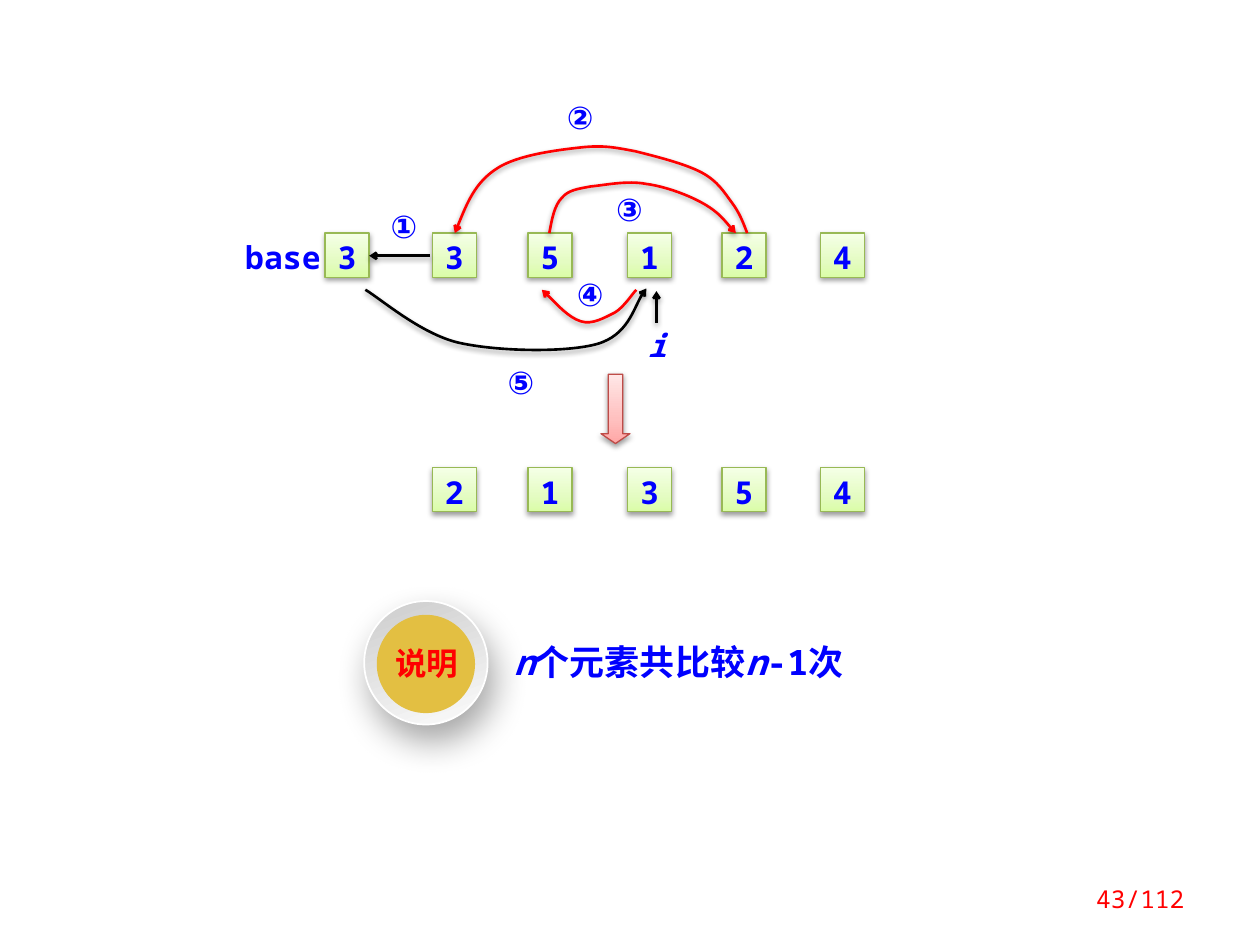
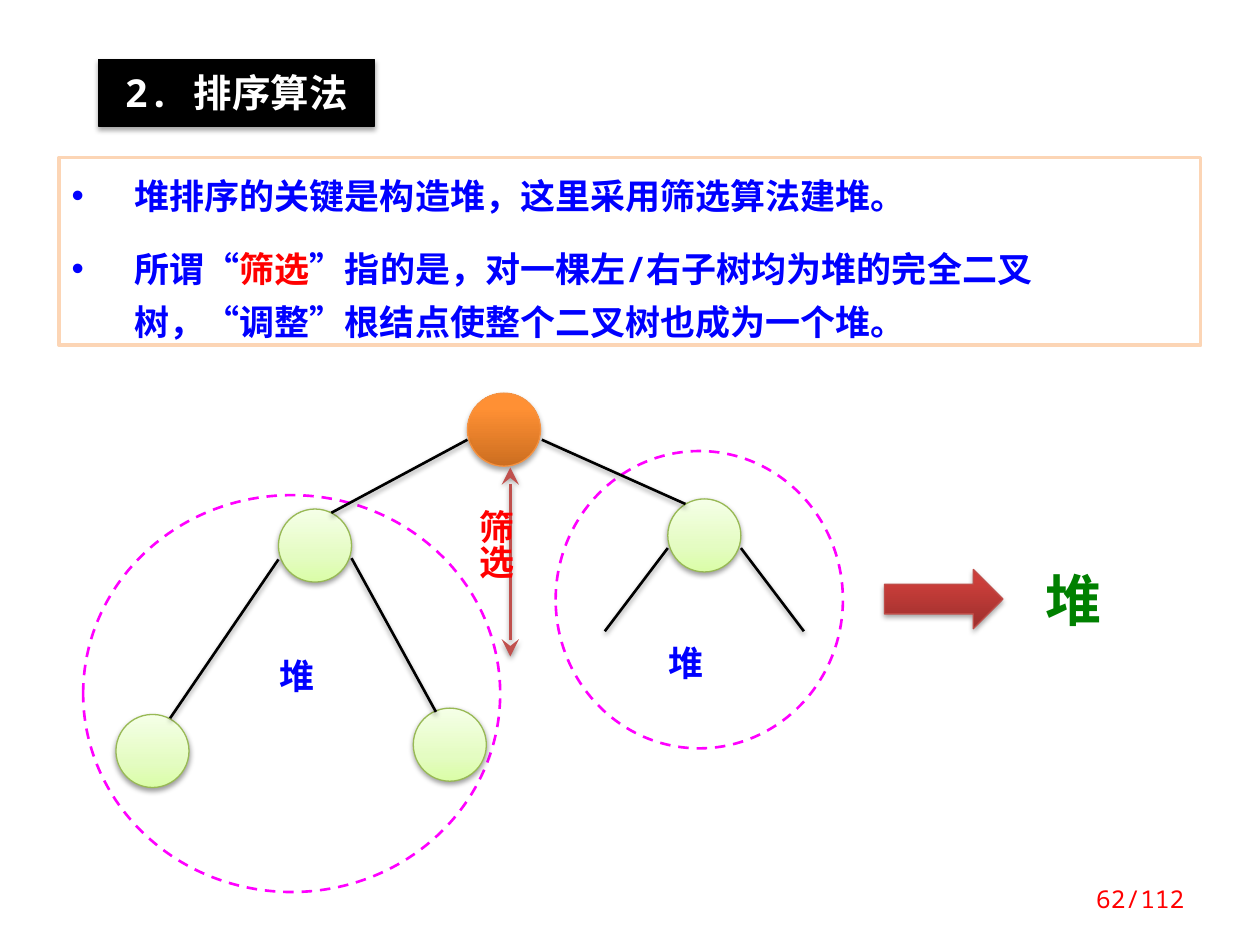
from dataclasses import dataclass, replace

from lxml import etree
from pptx import Presentation
from pptx.dml.color import RGBColor
from pptx.enum.dml import MSO_LINE
from pptx.enum.shapes import MSO_CONNECTOR, MSO_SHAPE
from pptx.enum.text import MSO_ANCHOR, MSO_AUTO_SIZE, PP_ALIGN
from pptx.oxml.ns import qn
from pptx.util import Inches, Pt

RECT, OVAL = MSO_SHAPE.RECTANGLE, MSO_SHAPE.OVAL
DOWN_ARROW, RIGHT_ARROW = MSO_SHAPE.DOWN_ARROW, MSO_SHAPE.RIGHT_ARROW
STRAIGHT, DASH = MSO_CONNECTOR.STRAIGHT, MSO_LINE.DASH
TOP, MIDDLE = MSO_ANCHOR.TOP, MSO_ANCHOR.MIDDLE
LEFT, CENTER, RIGHT = PP_ALIGN.LEFT, PP_ALIGN.CENTER, PP_ALIGN.RIGHT
FIXED = MSO_AUTO_SIZE.NONE


@dataclass(frozen=True)
class TextStyle:
    size: int
    color: str
    bold: bool = True
    italic: bool = False
    font: str = "Noto Sans Mono"


@dataclass(frozen=True)
class Theme:
    cjk = "Noto Sans CJK SC"
    white, black, blue, red = "FFFFFF", "000000", "0000FF", "FF0000"
    green, magenta, peach, gold = "008000", "FF00FF", "FCD5B5", "E3BF42"
    dark_red, green_edge, orange_edge = "C0504D", "98B955", "F69240"
    arrow_edge = "BF4C48"
    pale_green = ((0, "DAFDA7"), (35, "E4FCC2"), (100, "F5FFE7"))
    pale_red = ((0, "FFA6A5"), (35, "FFC0BF"), (100, "FFE7E7"))
    deep_red = ((0, "9C2F2D"), (80, "CB3E3A"), (100, "CE3B37"))
    orange = ((0, "CC6E20"), (80, "FF9034"), (100, "FF9136"))
    silver = ((0, "CCCCCC"), (100, "FCFCFC"))
    soft_shadow = (38, 3.1, 1.6, 90)
    strong_shadow = (35, 3.1, 1.8, 90)
    ring_shadow = (34, 20, 10, 70)
    small_arrow = ("arrow", "sm")
    large_stealth = ("stealth", "lg")
    label = TextStyle(18, blue)
    body = TextStyle(20, blue)
    caption = TextStyle(20, blue, font=cjk)
    badge = TextStyle(18, red, font=cjk)
    result = TextStyle(32, green)
    title = TextStyle(22, white)
    page = TextStyle(14, red, bold=False)


T = Theme()
CELL = 0.35
CELL_XS = (3.43, 4.19, 4.98, 5.73, 6.51)
NODE = 0.58


def rgb(value):
    return RGBColor.from_string(value)


def add_runs(p, runs):
    for text, style in runs:
        r = p.add_run()
        r.text = text
        f = r.font
        f.name, f.size = style.font, Pt(style.size)
        f.bold, f.italic = style.bold, style.italic
        f.color.rgb = rgb(style.color)
        ea = etree.Element(qn("a:ea"), typeface=T.cjk)
        r.font._element.find(qn("a:latin")).addnext(ea)


def set_frame(tf, insets=(0.1, 0.05, 0.1, 0.05), anchor=TOP, wrap=True):
    tf.margin_left, tf.margin_top, tf.margin_right, tf.margin_bottom = map(Inches, insets)
    tf.vertical_anchor, tf.word_wrap, tf.auto_size = anchor, wrap, FIXED


def write(tf, runs, align=LEFT, spacing=None, **frame):
    set_frame(tf, **frame)
    p = tf.paragraphs[0]
    p.alignment = align
    if spacing:
        p.line_spacing = spacing
    add_runs(p, runs)


def set_shadow(sp, shadow):
    spPr = sp._element.spPr
    effects = spPr.find(qn("a:effectLst"))
    if effects is None:
        effects = etree.SubElement(spPr, qn("a:effectLst"))
    if shadow:
        alpha, blur, dist, angle = shadow
        outer = etree.SubElement(effects, qn("a:outerShdw"), blurRad=str(Pt(blur)),
                                 dist=str(Pt(dist)), dir=str(angle * 60000), rotWithShape="0")
        color = etree.SubElement(outer, qn("a:srgbClr"), val=T.black)
        etree.SubElement(color, qn("a:alpha"), val=str(alpha * 1000))


def set_gradient(sp, stops, angle):
    sp.fill.gradient()
    sp.fill.gradient_angle = 360 - angle
    gs_list = sp._element.spPr.find(qn("a:gradFill")).find(qn("a:gsLst"))
    for gs in list(gs_list):
        gs_list.remove(gs)
    for position, color in stops:
        gs = etree.SubElement(gs_list, qn("a:gs"), pos=str(position * 1000))
        etree.SubElement(gs, qn("a:srgbClr"), val=color)


def paint(sp, fill=None, line=None, width=0.75, shadow=None, angle=270):
    sp.shadow.inherit = False
    if fill is None:
        sp.fill.background()
    elif isinstance(fill, str):
        sp.fill.solid()
        sp.fill.fore_color.rgb = rgb(fill)
    else:
        set_gradient(sp, fill, angle)
    if line:
        sp.line.color.rgb = rgb(line)
        sp.line.width = Pt(width)
    else:
        sp.line.fill.background()
    set_shadow(sp, shadow)


def add_shape(s, kind, x, y, w, h, fill=None, line=None, **look):
    sp = s.shapes.add_shape(kind, Inches(x), Inches(y), Inches(w), Inches(h))
    paint(sp, fill, line, **look)
    return sp


def add_text(s, x, y, w, h, runs, **options):
    sp = s.shapes.add_textbox(Inches(x), Inches(y), Inches(w), Inches(h))
    write(sp.text_frame, runs, **options)
    return sp


def add_label(s, x, y, text, w=0.31, style=T.label):
    sp = add_shape(s, RECT, x, y, w, 0.32, T.white)
    write(sp.text_frame, [(text, style)], CENTER, insets=(0, 0, 0, 0))


def add_cell(s, x, y, value):
    sp = add_shape(s, RECT, x, y, CELL, CELL, T.pale_green, T.green_edge, shadow=T.soft_shadow)
    write(sp.text_frame, [(value, T.label)], CENTER, insets=(0, 0.04, 0, 0))


def add_node(s, x, y, fill=T.pale_green, line=T.green_edge, shadow=T.soft_shadow):
    add_shape(s, OVAL, x, y, NODE, NODE, fill, line, shadow=shadow)


def set_ends(sp, head, tail):
    ln = sp.line._get_or_add_ln()
    for tag, end in (("a:headEnd", head), ("a:tailEnd", tail)):
        if end:
            kind, size = end
            etree.SubElement(ln, qn(tag), type=kind, w=size, len=size)


def add_line(s, start, end, color=T.black, head=None, tail=None):
    c = s.shapes.add_connector(STRAIGHT, *map(Inches, start + end))
    c.line.color.rgb = rgb(color)
    c.line.width = Pt(1.5)
    set_ends(c, head, tail)
    set_shadow(c, T.soft_shadow)


def add_curved_arrow(s, start, curves, color=T.red):
    builder = s.shapes.build_freeform(*map(Inches, start))
    builder.add_line_segments([tuple(map(Inches, curve[-1])) for curve in curves], close=False)
    sp = builder.convert_to_shape()
    segments = list(sp._element.spPr.iter(qn("a:lnTo")))
    for segment, curve in zip(segments, curves):
        bend = etree.Element(qn("a:cubicBezTo"))
        for x, y in curve:
            etree.SubElement(bend, qn("a:pt"), x=str(Inches(x) - sp.left), y=str(Inches(y) - sp.top))
        segment.getparent().replace(segment, bend)
    paint(sp, None, color, width=1.5, shadow=T.soft_shadow)
    set_ends(sp, None, T.small_arrow)


def add_bullets(sp, paragraphs):
    tf = sp.text_frame
    set_frame(tf, insets=(0.1, 0.05, 1.1, 0.05))
    for i, runs in enumerate(paragraphs):
        p = tf.add_paragraph() if i else tf.paragraphs[0]
        pPr = p._p.get_or_add_pPr()
        pPr.set("marL", str(Inches(0.5)))
        pPr.set("indent", str(-Inches(0.5)))
        etree.SubElement(pPr, qn("a:buFont"), typeface="Arial")
        etree.SubElement(pPr, qn("a:buChar"), char="•")
        p.alignment, p.line_spacing = LEFT, Pt(30)
        if i:
            p.space_before = Pt(12)
        add_runs(p, runs)


def add_title(s, text, x, y, w, h):
    sp = s.shapes.title
    sp.left, sp.top, sp.width, sp.height = map(Inches, (x, y, w, h))
    paint(sp, T.black, T.black, shadow=T.strong_shadow)
    write(sp.text_frame, [(text, T.title)], CENTER, insets=(0.1, 0.08, 0.1, 0.08))


def add_page_number(s, number):
    add_text(s, 8.28, 6.93, 1.22, 0.4, [(f"{number}/112", T.page)], align=RIGHT, anchor=MIDDLE)


def build_partition_slide(prs):
    s = prs.slides.add_slide(prs.slide_layouts[6])
    for x, y, text in ((3.05, 1.64, "①"), (4.45, 0.78, "②"), (4.84, 1.51, "③"),
                       (4.53, 2.18, "④"), (3.98, 2.88, "⑤")):
        add_label(s, x, y, text)
    add_label(s, 1.87, 1.89, "base", w=0.75)
    add_label(s, 5.14, 2.59, "i", w=0.15, style=replace(T.label, italic=True))

    add_cell(s, 2.58, 1.85, "3")
    for y, values in ((1.85, "35124"), (3.71, "21354")):
        for x, value in zip(CELL_XS, values):
            add_cell(s, x, y, value)

    add_line(s, (3.41, 2.03), (2.93, 2.03), tail=T.small_arrow)
    add_line(s, (5.21, 2.56), (5.21, 2.31), tail=T.small_arrow)
    add_curved_arrow(s, (5.93, 1.85), (
        ((5.9, 1.77), (5.87, 1.69), (5.81, 1.61)), ((5.75, 1.53), (5.7, 1.44), (5.57, 1.37)),
        ((5.44, 1.3), (5.2, 1.24), (5.04, 1.2)), ((4.88, 1.17), (4.79, 1.15), (4.61, 1.17)),
        ((4.43, 1.19), (4.1, 1.23), (3.94, 1.34)), ((3.77, 1.45), (3.69, 1.65), (3.61, 1.85))))
    add_curved_arrow(s, (4.36, 1.85), (
        ((4.38, 1.74), (4.4, 1.63), (4.46, 1.57)), ((4.51, 1.51), (4.58, 1.5), (4.69, 1.48)),
        ((4.8, 1.47), (4.98, 1.43), (5.13, 1.46)), ((5.28, 1.48), (5.47, 1.55), (5.59, 1.62)),
        ((5.71, 1.69), (5.79, 1.8), (5.84, 1.85))))
    add_curved_arrow(s, (5.05, 2.3), (
        ((5.02, 2.33), (4.95, 2.44), (4.88, 2.48)), ((4.8, 2.52), (4.7, 2.58), (4.61, 2.55)),
        ((4.51, 2.52), (4.36, 2.35), (4.3, 2.3))))
    add_curved_arrow(s, (2.9, 2.3), (
        ((3.02, 2.37), (3.34, 2.65), (3.64, 2.72)), ((3.95, 2.79), (4.49, 2.8), (4.74, 2.73)),
        ((4.98, 2.66), (5.05, 2.38), (5.13, 2.29))), T.black)
    arrow = add_shape(s, DOWN_ARROW, 4.77, 2.97, 0.23, 0.55, T.pale_red, T.arrow_edge,
                      shadow=T.soft_shadow)
    arrow.adjustments[1] = 0.34

    italic = replace(T.body, italic=True)
    add_text(s, 3.98, 4.95, 3.13, 0.52, [("n", italic), ("个元素共比较", T.body),
                                         ("n", italic), ("-1次", T.body)], spacing=Pt(30))
    add_shape(s, OVAL, 2.89, 4.77, 0.98, 0.98, T.silver, T.white, width=1,
              shadow=T.ring_shadow, angle=70)
    add_shape(s, OVAL, 2.99, 4.88, 0.78, 0.78, T.gold)
    add_text(s, 3.03, 5.12, 0.71, 0.34, [("说明", T.badge)], align=CENTER, spacing=0.8, wrap=False)
    add_page_number(s, 43)


def build_heap_slide(prs):
    s = prs.slides.add_slide(prs.slide_layouts[5])
    add_title(s, "2. 排序算法", 0.78, 0.47, 2.19, 0.53)
    for box in ((4.41, 3.58, 2.28, 2.36), (0.66, 3.93, 3.31, 3.15)):
        subtree = add_shape(s, OVAL, *box, line=T.magenta, width=1.5)
        subtree.line.dash_style = DASH

    panel = add_shape(s, RECT, 0.47, 1.25, 9.06, 1.49, T.white, T.peach, width=2)
    add_bullets(panel, (
        [("堆排序的关键是构造堆，这里采用筛选算法建堆。", T.body)],
        [("所谓“", T.body), ("筛选", replace(T.body, color=T.red)),
         ("”指的是，对一棵左/右子树均为堆的完全二叉树，“调整”根结点使整个二叉树也成为一个堆。", T.body)]))

    add_node(s, 3.71, 3.12, T.orange, T.orange_edge, T.strong_shadow)
    for x, y in ((2.21, 4.04), (5.3, 3.96), (0.92, 5.67), (3.28, 5.62)):
        add_node(s, x, y)
    for start, end in (((3.71, 3.49), (2.63, 4.07)), ((4.3, 3.49), (5.44, 4)),
                       ((2.79, 4.43), (3.46, 5.65)), ((2.21, 4.44), (1.35, 5.7)),
                       ((5.3, 4.35), (4.8, 5.01)), ((5.88, 4.35), (6.38, 5.01))):
        add_line(s, start, end)
    for x, y in ((2.12, 5.21), (5.21, 5.11)):
        add_text(s, x, y, 0.48, 0.37, [("堆", T.caption)], spacing=0.8, wrap=False)

    add_line(s, (4.05, 3.71), (4.05, 5.21), T.dark_red, T.large_stealth, T.large_stealth)
    sift = add_text(s, 3.62, 3.95, 0.47, 0.88, [("筛选", replace(T.caption, color=T.red))],
                    spacing=0.8)
    sift.text_frame._txBody.bodyPr.set("vert", "eaVert")
    add_shape(s, RIGHT_ARROW, 7.02, 4.52, 0.94, 0.47, T.deep_red, T.arrow_edge,
              shadow=T.strong_shadow)
    add_text(s, 8.2, 4.44, 0.94, 0.63, [("堆", T.result)])
    add_page_number(s, 62)


def main():
    prs = Presentation()
    prs.slide_width, prs.slide_height = Inches(10), Inches(7.5)
    build_partition_slide(prs)
    build_heap_slide(prs)
    prs.save("out.pptx")


if __name__ == "__main__":
    main()
